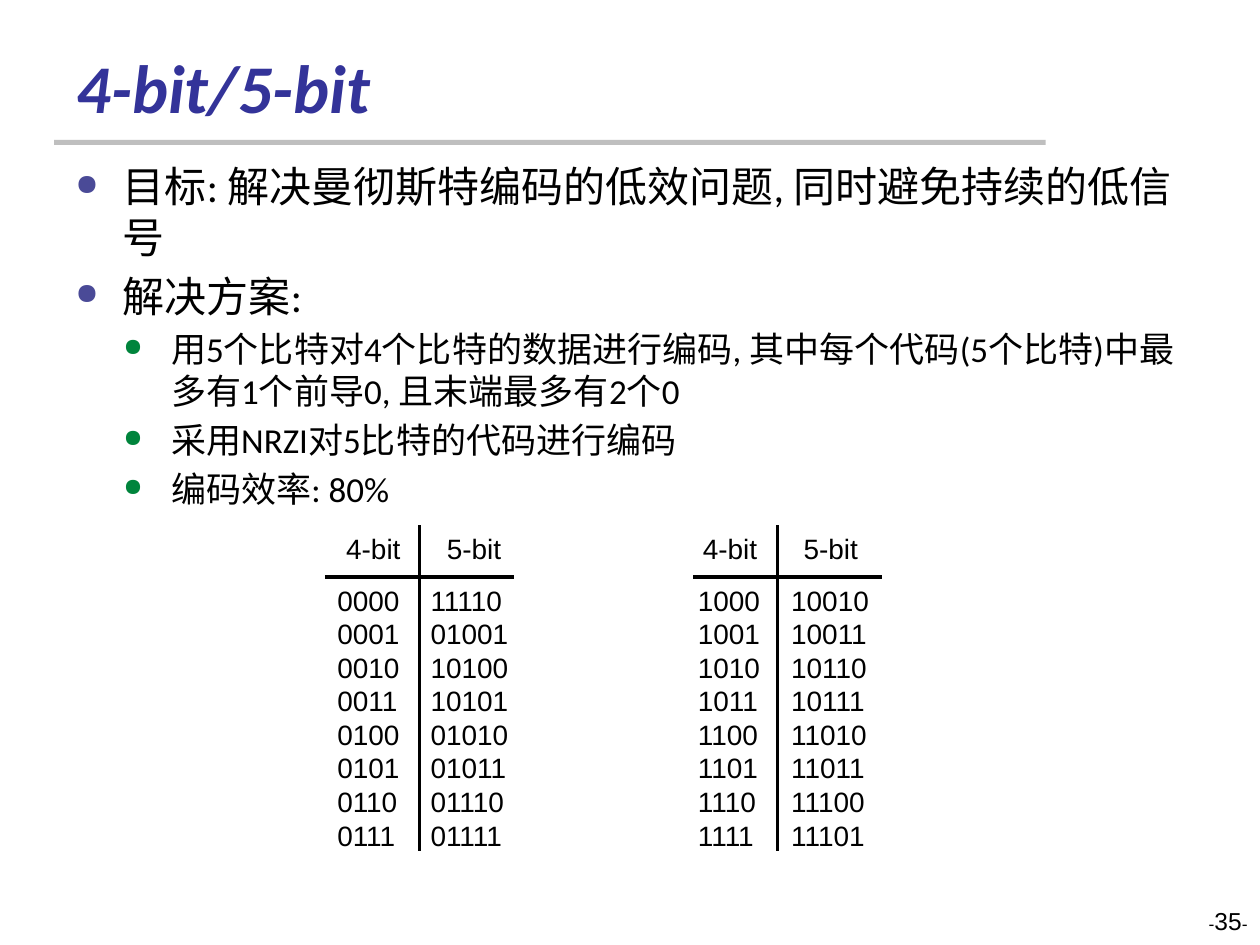
from dataclasses import dataclass

import pptx
import pptx.dml.color
import pptx.enum.shapes
import pptx.enum.text
import pptx.oxml
import pptx.oxml.ns
import pptx.util

Cm = pptx.util.Cm
Pt = pptx.util.Pt
PP_ALIGN = pptx.enum.text.PP_ALIGN
BLACK = "000000"


@dataclass(frozen=True)
class Box:
    left: float
    top: float
    width: float
    height: float


@dataclass(frozen=True)
class Bullet:
    text: str
    level: int


@dataclass(frozen=True)
class BulletStyle:
    color: str
    indent: float
    size: float
    space: float


@dataclass(frozen=True)
class CodeTable:
    header_left: float
    codes_left: float
    rule_left: float
    divider: float
    first_value: int
    codes: tuple[str, ...]


BULLET_STYLES = (
    BulletStyle("4A4A97", 0.96, 24, 4.8),
    BulletStyle("00843C", 1.93, 20, 4),
)
BULLETS = (
    Bullet("目标: 解决曼彻斯特编码的低效问题, 同时避免持续的低信号", 0),
    Bullet("解决方案:", 0),
    Bullet("用5个比特对4个比特的数据进行编码, 其中每个代码(5个比特)中最多有1个前导0, 且末端最多有2个0", 1),
    Bullet("采用NRZI对5比特的代码进行编码", 1),
    Bullet("编码效率: 80%", 1),
)
CODE_TABLES = (
    CodeTable(6.73, 6.55, 6.55, 8.46, 0,
              ("11110", "01001", "10100", "10101", "01010", "01011", "01110", "01111")),
    CodeTable(13.92, 13.82, 13.97, 15.67, 8,
              ("10010", "10011", "10110", "10111", "11010", "11011", "11100", "11101")),
)
TABLE_TOP, RULE_TOP, TABLE_BOTTOM, RULE_WIDTH = 10.59, 11.63, 17.15, 3.81


def rgb(color: str) -> pptx.dml.color.RGBColor:
    return pptx.dml.color.RGBColor.from_string(color)


def style_font(font, name: str, size: float, color: str) -> None:
    font.name = name
    font.size = Pt(size)
    font.color.rgb = rgb(color)


def add_element(parent, tag: str, **attributes: str):
    element = pptx.oxml.ns.qn(tag)
    child = parent.makeelement(element, attributes)
    parent.append(child)
    return child


def add_text_box(slide, box: Box):
    shape = slide.shapes.add_textbox(Cm(box.left), Cm(box.top), Cm(box.width), Cm(box.height))
    shape.text_frame.word_wrap = True
    return shape.text_frame


def add_title(slide) -> None:
    bar = slide.shapes.add_shape(pptx.enum.shapes.MSO_SHAPE.RECTANGLE,
                                 Cm(1.09), Cm(2.82), Cm(19.99), Cm(0.1))
    bar.shadow.inherit = False
    bar.fill.solid()
    bar.fill.fore_color.rgb = rgb("BFBFBF")
    bar.line.fill.background()
    text_frame = add_text_box(slide, Box(1.3, 0.71, 20.96, 1.98))
    text_frame.vertical_anchor = pptx.enum.text.MSO_ANCHOR.BOTTOM
    text_frame.text = "4-bit/5-bit"
    font = text_frame.paragraphs[0].runs[0].font
    style_font(font, "Calibri", 39, "333399")
    font.bold = True
    font.italic = True


def add_bullets(slide, bullets: tuple[Bullet, ...]) -> None:
    text_frame = add_text_box(slide, Box(1.27, 3.12, 22.86, 14.81))
    text_frame.text = "\n".join(bullet.text for bullet in bullets)
    for index, (paragraph, bullet) in enumerate(zip(text_frame.paragraphs, bullets)):
        style = BULLET_STYLES[bullet.level]
        paragraph.level = bullet.level
        if index:
            paragraph.space_before = Pt(style.space)
        properties = paragraph._p.get_or_add_pPr()
        properties.set("marL", str(Cm(style.indent)))
        properties.set("indent", str(-Cm(0.96)))
        add_element(add_element(properties, "a:buClr"), "a:srgbClr", val=style.color)
        add_element(properties, "a:buSzPct", val="70000")
        add_element(properties, "a:buChar", char="●")
        style_font(paragraph.runs[0].font, "Calibri", style.size, BLACK)


def add_columns(slide, box: Box, lines: list[str], tab: float) -> None:
    text_frame = add_text_box(slide, box)
    text_frame.text = "\n".join(lines)
    for paragraph in text_frame.paragraphs:
        tabs = add_element(paragraph._p.get_or_add_pPr(), "a:tabLst")
        add_element(tabs, "a:tab", pos=str(Cm(tab)), algn="l")
        for run in paragraph.runs:
            style_font(run.font, "Arial", 16, BLACK)


def add_line(slide, start: tuple[float, float], end: tuple[float, float]) -> None:
    connector = slide.shapes.add_connector(
        pptx.enum.shapes.MSO_CONNECTOR.STRAIGHT,
        Cm(start[0]), Cm(start[1]), Cm(end[0]), Cm(end[1]))
    connector.line.color.rgb = rgb(BLACK)
    connector.line.width = Pt(2)
    add_element(connector._element.spPr, "a:effectLst")


def add_code_table(slide, table: CodeTable) -> None:
    rows = [f"{value:04b}\t{code}" for value, code in enumerate(table.codes, table.first_value)]
    add_columns(slide, Box(table.header_left, TABLE_TOP, 3.66, 0.91), ["4-bit\t5-bit"], 2.03)
    add_columns(slide, Box(table.codes_left, RULE_TOP, 3.96, 6.35), rows, 1.88)
    add_line(slide, (table.divider, TABLE_TOP), (table.divider, TABLE_BOTTOM))
    add_line(slide, (table.rule_left, RULE_TOP), (table.rule_left + RULE_WIDTH, RULE_TOP))


def add_page_number(slide, number: int) -> None:
    paragraph = add_text_box(slide, Box(19.48, 18.14, 5.92, 1.27)).paragraphs[0]
    paragraph.alignment = PP_ALIGN.RIGHT
    for text, size in (("-", 10), (str(number), 14), ("-", 10)):
        run = paragraph.add_run()
        run.text = text
        style_font(run.font, "Arial", size, BLACK)


def main() -> None:
    presentation = pptx.Presentation()
    presentation.slide_width = Cm(25.4)
    presentation.slide_height = Cm(19.05)
    slide = presentation.slides.add_slide(presentation.slide_layouts[6])
    add_title(slide)
    add_bullets(slide, BULLETS)
    add_page_number(slide, 35)
    for table in CODE_TABLES:
        add_code_table(slide, table)
    presentation.save("out.pptx")


if __name__ == "__main__":
    main()
